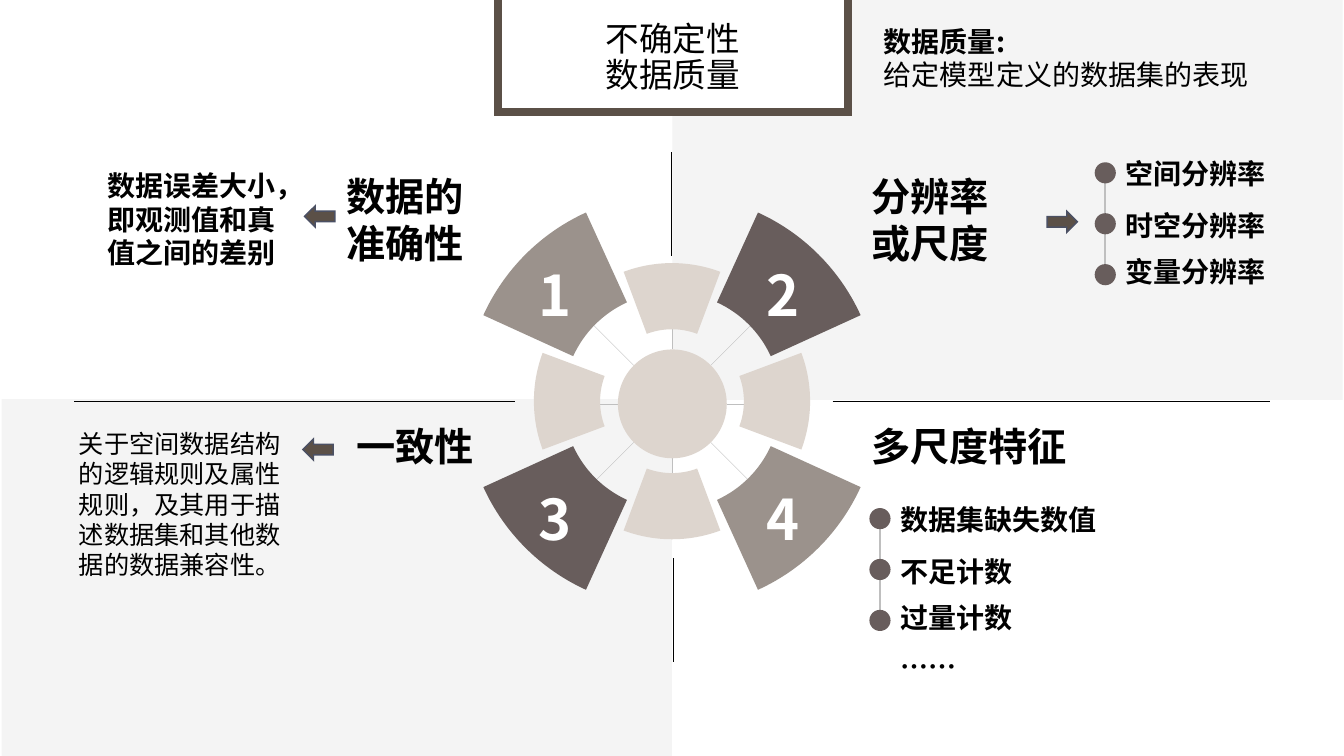
import itertools
import math
from dataclasses import dataclass

import pptx
import pptx.dml.color
import pptx.enum.shapes
import pptx.enum.text
import pptx.oxml.ns
import pptx.oxml.xmlchemy
import pptx.shapes.autoshape
import pptx.slide
import pptx.util

SLIDE_WIDTH = pptx.util.Inches(13.333)
SLIDE_HEIGHT = pptx.util.Inches(7.5)
COLUMNS, ROWS = 80, 45
FONT = "Noto Sans CJK SC"
BLACK, WHITE, PALE_GREY, RULE_GREY = "000000", "FFFFFF", "F4F4F4", "BFBFBF"
SAND, STONE, PLUM, BROWN, SLATE = "DDD5CE", "9B928C", "685D5C", "5B5047", "4B5064"

SHAPE = pptx.enum.shapes.MSO_SHAPE
ALIGN = pptx.enum.text.PP_ALIGN
ANCHOR = pptx.enum.text.MSO_ANCHOR
element = pptx.oxml.xmlchemy.OxmlElement

RING_CENTRE = (40, 23.88)
HUB_CENTRE = (40.02, 24.04)
HUB_RADIUS = 3.24
PETAL_HALF_ANGLE = 20.5
DOT_SIZE = 1.26
DOT_STEP = 3.03
ITEM_CENTRES = (0.68, 3.76, 6.5, 9.4)


@dataclass(frozen=True)
class Box:
    left: float
    top: float
    width: float
    height: float


@dataclass(frozen=True)
class Label:
    box: Box
    text: str
    size: float = 28
    colour: str = BLACK
    bold: tuple[bool, ...] = (True,)
    align: ALIGN = ALIGN.LEFT
    anchor: ANCHOR = ANCHOR.MIDDLE
    grow: bool = False
    wrap: bool = True
    spacing: float | None = None


@dataclass(frozen=True)
class Rule:
    start: tuple[float, float]
    end: tuple[float, float]
    colour: str = BLACK
    weight: float = 0.5


@dataclass(frozen=True)
class Petal:
    angle: float
    inner: float
    outer: float
    fill: str


@dataclass(frozen=True)
class DotList:
    left: float
    top: float
    items: tuple[str, ...]


PANELS = (Box(40.02, 0, 39.9, 23.8), Box(0.1, 23.76, 39.9, 21.24))
PETALS = tuple(Petal(angle, 4.28, 8.22, SAND) for angle in range(0, 360, 90)) + tuple(
    Petal(angle, 6.46, 12.34, fill)
    for angle, fill in ((45, STONE), (135, PLUM), (225, STONE), (315, PLUM))
)
AXES = (
    Rule((4.42, 23.9), (30.66, 23.9)),
    Rule((49.56, 23.9), (75.6, 23.9)),
    Rule((39.96, 9.06), (39.96, 15.24)),
    Rule((40.08, 33.24), (40.08, 39.38)),
)
ARROWS = (
    (Box(62.6, 12.3, 1.26, 1.8), 270),
    (Box(18.4, 11.98, 1.26, 1.8), 90),
    (Box(18.3, 25.86, 1.26, 1.8), 90),
)
DOT_LISTS = (
    DotList(65.16, 9.66, ("空间分辨率", "时空分辨率", "变量分辨率")),
    DotList(51.75, 30.24, ("数据集缺失数值", "不足计数", "过量计数", "……")),
)
NUMBERS = tuple(
    Label(Box(left, top, 5.4, 4.2), str(number), 40, WHITE, align=ALIGN.RIGHT)
    for number, (top, left) in enumerate(itertools.product((15.42, 28.74), (29.22, 42.78)), 1)
)
LABELS = NUMBERS + (
    Label(Box(19.24, 10.22, 8.94, 5.64), "数据的准确性", align=ALIGN.RIGHT),
    Label(Box(11.64, 24.84, 17.16, 3.36), "一致性", align=ALIGN.RIGHT),
    Label(Box(51.26, 11.4, 17.16, 3.36), "分辨率\n或尺度"),
    Label(Box(51.26, 24.84, 17.16, 3.36), "多尺度特征"),
    Label(Box(5.82, 8.26, 11.58, 9.54), "数据误差大小，即观测值和真值之间的差别", 20),
    Label(Box(4.1, 25.2, 14.1, 9.72),
          "关于空间数据结构的逻辑规则及属性规则，及其用于描述数据集和其他数据的数据兼容性。",
          18, bold=(False,), anchor=ANCHOR.TOP, grow=True),
    Label(Box(30.4, 0.48, 19.32, 6), "不确定性\v数据质量", 24,
          bold=(False,), align=ALIGN.CENTER, spacing=0.9),
    Label(Box(52.02, 1.14, 23.1, 4.62), "数据质量:\n给定模型定义的数据集的表现", 20,
          bold=(True, False), anchor=ANCHOR.TOP, grow=True, wrap=False),
)


def across(columns: float) -> int:
    return round(SLIDE_WIDTH * columns / COLUMNS)


def down(rows: float) -> int:
    return round(SLIDE_HEIGHT * rows / ROWS)


def rgb(colour: str) -> pptx.dml.color.RGBColor:
    return pptx.dml.color.RGBColor.from_string(colour)


def frame(box: Box) -> tuple[int, int, int, int]:
    return across(box.left), down(box.top), across(box.width), down(box.height)


def polar(centre: tuple[float, float], radius: float, degrees: float) -> tuple[float, float]:
    angle = math.radians(degrees)
    return centre[0] + radius * math.cos(angle), centre[1] + radius * math.sin(angle)


def paint(shape: pptx.shapes.autoshape.Shape, fill: str,
          outline: str | None = None, weight: float = 1) -> None:
    shape.shadow.inherit = False
    shape.fill.solid()
    shape.fill.fore_color.rgb = rgb(fill)
    if outline is None:
        shape.line.fill.background()
    else:
        shape.line.color.rgb = rgb(outline)
        shape.line.width = pptx.util.Pt(weight)
        miter = element("a:miter")
        miter.set("lim", "800000")
        shape._element.spPr.find(pptx.oxml.ns.qn("a:ln")).append(miter)


def draw_shape(slide: pptx.slide.Slide, kind: SHAPE, box: Box, fill: str,
               outline: str | None = None, weight: float = 1, turn: float = 0) -> None:
    shape = slide.shapes.add_shape(kind, *frame(box))
    paint(shape, fill, outline, weight)
    shape.rotation = turn


def draw_rule(slide: pptx.slide.Slide, rule: Rule) -> None:
    line = slide.shapes.add_connector(
        pptx.enum.shapes.MSO_CONNECTOR.STRAIGHT,
        across(rule.start[0]), down(rule.start[1]), across(rule.end[0]), down(rule.end[1]))
    line.line.color.rgb = rgb(rule.colour)
    line.line.width = pptx.util.Pt(rule.weight)
    line._element.spPr.append(element("a:effectLst"))


def draw_petal(slide: pptx.slide.Slide, petal: Petal) -> None:
    half = PETAL_HALF_ANGLE
    arcs = ((petal.outer, petal.angle - half, petal.angle + half),
            (petal.inner, petal.angle + half, petal.angle - half))
    corners = [polar(RING_CENTRE, radius, angle)
               for radius, start, end in arcs for angle in (start, petal.angle, end)]
    points = [(across(column), down(row)) for column, row in corners]
    builder = slide.shapes.build_freeform(*points[0])
    builder.add_line_segments(points[1:], close=True)
    shape = builder.convert_to_shape()
    paint(shape, petal.fill)
    segments = list(shape._element.iter(pptx.oxml.ns.qn("a:lnTo")))
    for (radius, start, end), (middle, last) in zip(arcs, (segments[:2], segments[3:5])):
        handle = 4 / 3 * math.tan(math.radians(end - start) / 4)
        reach = radius * math.hypot(1, handle)
        lean = math.degrees(math.atan(handle))
        curve = element("a:cubicBezTo")
        for distance, angle in ((reach, start + lean), (reach, end - lean), (radius, end)):
            column, row = polar(RING_CENTRE, distance, angle)
            point = element("a:pt")
            point.set("x", str(across(column) - shape.left))
            point.set("y", str(down(row) - shape.top))
            curve.append(point)
        middle.getparent().remove(middle)
        last.getparent().replace(last, curve)


def draw_label(slide: pptx.slide.Slide, label: Label) -> None:
    text = slide.shapes.add_textbox(*frame(label.box)).text_frame
    text.text = label.text
    text.word_wrap = label.wrap
    text.vertical_anchor = label.anchor
    if label.grow:
        text.auto_size = pptx.enum.text.MSO_AUTO_SIZE.SHAPE_TO_FIT_TEXT
    for paragraph, bold in zip(text.paragraphs, itertools.cycle(label.bold)):
        paragraph.alignment = label.align
        paragraph.line_spacing = label.spacing
        font = paragraph.font
        font.name, font.size, font.bold = FONT, pptx.util.Pt(label.size), bold
        font.color.rgb = rgb(label.colour)
        east_asian = element("a:ea")
        east_asian.set("typeface", FONT)
        paragraph._p.pPr.find(pptx.oxml.ns.qn("a:defRPr")).append(east_asian)


def draw_dot_list(slide: pptx.slide.Slide, dots: DotList) -> None:
    stem, stem_top = dots.left + DOT_SIZE / 2, dots.top + DOT_SIZE
    draw_rule(slide, Rule((stem, stem_top), (stem, stem_top + 2 * DOT_STEP), RULE_GREY, 1.5))
    for row in range(3):
        box = Box(dots.left, dots.top + row * DOT_STEP, DOT_SIZE, DOT_SIZE)
        draw_shape(slide, SHAPE.OVAL, box, PLUM)
    for row, (item, centre) in enumerate(zip(dots.items, ITEM_CENTRES)):
        first = row == 0
        width, height = (len(item) * 1.67 + 1.2, 2.64) if first else (11.82, 3.36)
        box = Box(dots.left + DOT_SIZE, dots.top + centre - height / 2, width, height)
        draw_label(slide, Label(box, item, 20, grow=first, wrap=not first))


def main() -> None:
    deck = pptx.Presentation()
    deck.slide_width, deck.slide_height = SLIDE_WIDTH, SLIDE_HEIGHT
    slide = deck.slides.add_slide(deck.slide_layouts[6])
    for panel in PANELS:
        draw_shape(slide, SHAPE.RECTANGLE, panel, PALE_GREY)
    for angle in range(0, 360, 45):
        reach = 8 if angle % 90 == 0 else 12.1
        draw_rule(slide, Rule(polar(HUB_CENTRE, HUB_RADIUS, angle),
                              polar(HUB_CENTRE, reach, angle), RULE_GREY, 0.25))
    for petal in PETALS:
        draw_petal(slide, petal)
    hub = Box(HUB_CENTRE[0] - HUB_RADIUS, HUB_CENTRE[1] - HUB_RADIUS, 2 * HUB_RADIUS, 2 * HUB_RADIUS)
    draw_shape(slide, SHAPE.OVAL, hub, SAND)
    for axis in AXES:
        draw_rule(slide, axis)
    for box, turn in ARROWS:
        draw_shape(slide, SHAPE.DOWN_ARROW, box, BROWN, SLATE, turn=turn)
    draw_shape(slide, SHAPE.RECTANGLE, Box(29.65, -3.6, 20.82, 10.26), WHITE, BROWN, 5.5)
    for dots in DOT_LISTS:
        draw_dot_list(slide, dots)
    for label in LABELS:
        draw_label(slide, label)
    deck.save("out.pptx")


if __name__ == "__main__":
    main()
